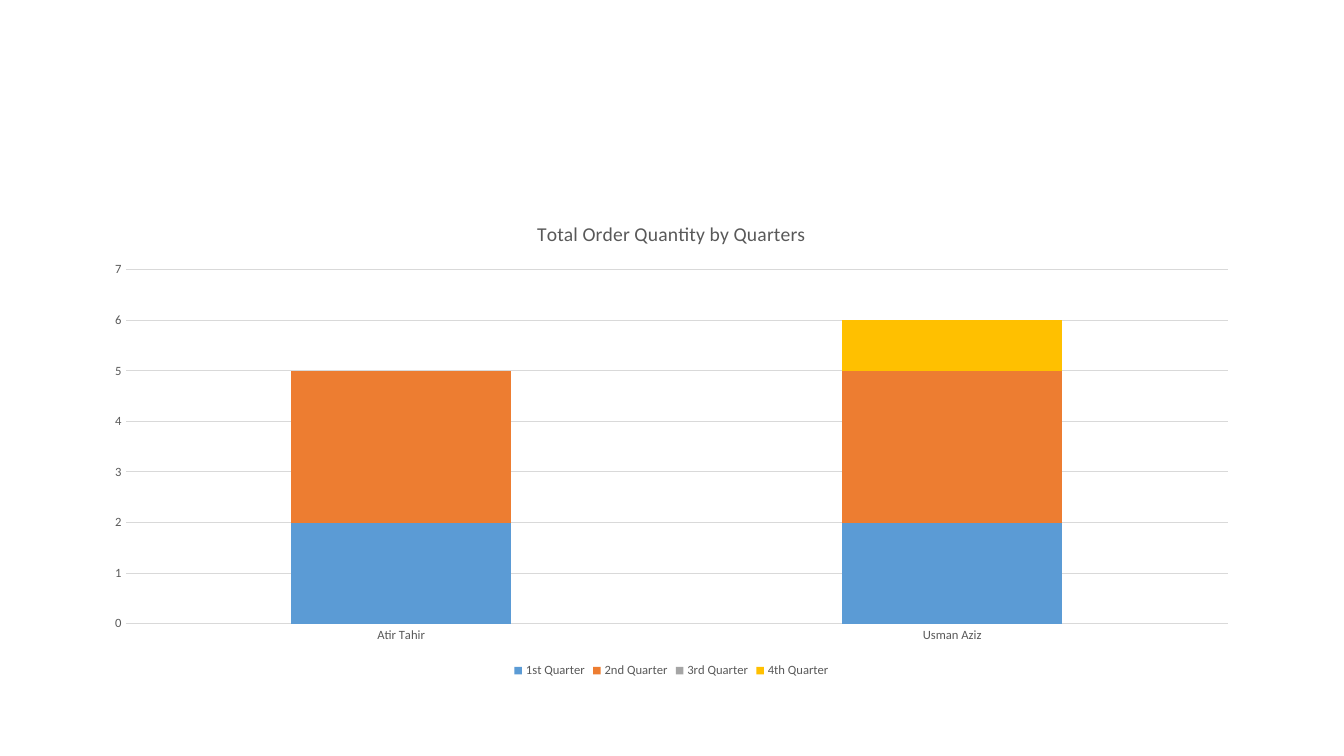
import pptx
import pptx.util
import pptx.chart.data
import pptx.dml.color
import pptx.enum.chart

PX = 914400 / 100.8
QUARTERS = [
    ("1st Quarter", (2, 2), "5B9BD5"),
    ("2nd Quarter", (3, 3), "ED7D31"),
    ("3rd Quarter", (0, 0), "A5A5A5"),
    ("4th Quarter", (0, 1), "FFC000"),
]


def px(n):
    return pptx.util.Emu(round(n * PX))


def rgb(code):
    return pptx.dml.color.RGBColor.from_string(code)


def apply(item, values):
    for name, value in values.items():
        setattr(item, name, value)


class Deck:
    face = "Calibri"
    ink = "595959"
    rule = "D9D9D9"

    def __init__(self, width, height):
        self.file = pptx.Presentation()
        apply(self.file, {"slide_width": px(width), "slide_height": px(height)})
        self.slide = self.file.slides.add_slide(self.file.slide_layouts[6])

    def font(self, font, size):
        apply(font, {"name": self.face, "size": pptx.util.Pt(size), "bold": False})
        font.color.rgb = rgb(self.ink)

    def line(self, line):
        line.color.rgb = rgb(self.rule)
        line.width = pptx.util.Pt(0.75)

    def axis(self, axis, grid):
        none = pptx.enum.chart.XL_TICK_MARK.NONE
        apply(axis, {"major_tick_mark": none, "minor_tick_mark": none,
                     "has_major_gridlines": grid})
        self.font(axis.tick_labels.font, 9)
        if grid:
            self.line(axis.major_gridlines.format.line)
            axis.format.line.fill.background()
        else:
            self.line(axis.format.line)

    def stack(self, title, names, rows, box):
        """Add a stacked column chart with a title and a legend below."""
        data = pptx.chart.data.CategoryChartData()
        data.categories = names
        for name, values, _ in rows:
            data.add_series(name, values)
        kind = pptx.enum.chart.XL_CHART_TYPE.COLUMN_STACKED
        chart = self.slide.shapes.add_chart(kind, *map(px, box), data).chart
        self.font(chart.font, 10)
        apply(chart, {"has_title": True, "has_legend": True})

        frame = chart.chart_title.text_frame
        frame.text = title
        self.font(frame.paragraphs[0].runs[0].font, 14)
        chart.chart_title.include_in_layout = False

        bottom = pptx.enum.chart.XL_LEGEND_POSITION.BOTTOM
        apply(chart.legend, {"position": bottom, "include_in_layout": False})
        self.font(chart.legend.font, 9)

        self.axis(chart.category_axis, False)
        self.axis(chart.value_axis, True)
        apply(chart.value_axis, {"minimum_scale": 0, "maximum_scale": 7,
                                 "major_unit": 1})

        plot = chart.plots[0]
        apply(plot, {"gap_width": 150, "overlap": 100,
                     "vary_by_categories": False})
        for bar, (_, _, code) in zip(plot.series, rows):
            bar.format.fill.solid()
            bar.format.fill.fore_color.rgb = rgb(code)


def main():
    deck = Deck(1344, 756)
    deck.stack("Total Order Quantity by Quarters", ["Atir Tahir", "Usman Aziz"],
               QUARTERS, (92, 202, 1159, 480))
    deck.file.save("out.pptx")


if __name__ == "__main__":
    main()
